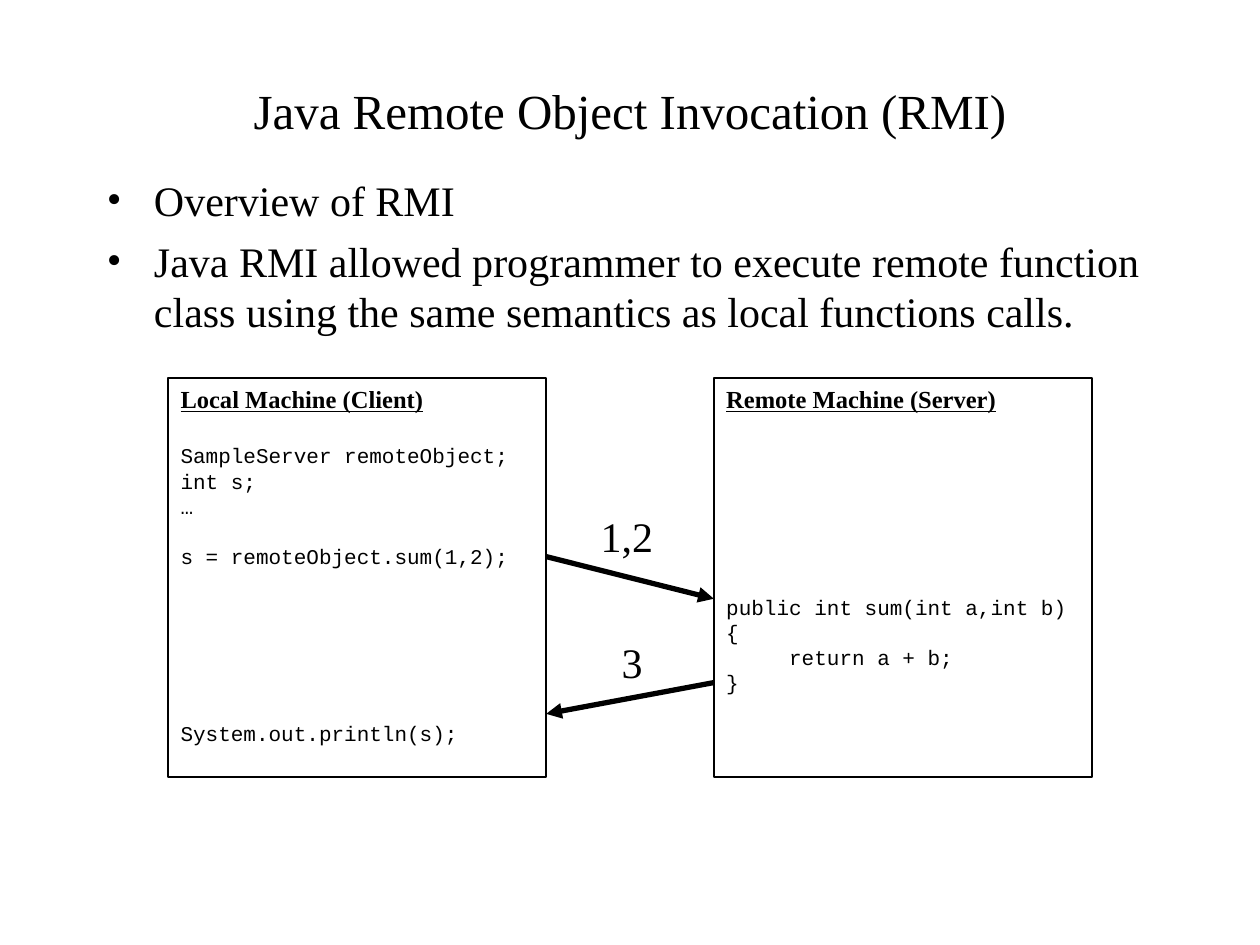
import pptx
import pptx.dml.color
import pptx.enum.shapes
import pptx.enum.text
import pptx.oxml
import pptx.oxml.ns
import pptx.util
from dataclasses import dataclass

Cm, Pt = pptx.util.Cm, pptx.util.Pt
ALIGN = pptx.enum.text.PP_ALIGN
ANCHOR = pptx.enum.text.MSO_ANCHOR
AUTO_SIZE = pptx.enum.text.MSO_AUTO_SIZE


@dataclass(frozen=True)
class Theme:
    ink: pptx.dml.color.RGBColor = pptx.dml.color.RGBColor(0, 0, 0)
    serif: str = "Times New Roman"
    mono: str = "Courier New"
    title: int = 28
    body: int = 24
    heading: int = 14
    code: int = 12
    leading: float = 1.2


theme = Theme()


def write(paragraph, text, size, font=theme.serif, before=0, align=ALIGN.LEFT):
    """Fill a paragraph with one formatted run and return the run."""
    paragraph.alignment = align
    paragraph.line_spacing = Pt(size * theme.leading)
    paragraph.space_before = Pt(before)
    run = paragraph.add_run()
    run.text = text
    run.font.size = Pt(size)
    run.font.name = font
    run.font.color.rgb = theme.ink
    return run


def add_drawing_xml(parent, xml):
    """Append drawing elements, given as XML, to a parent."""
    namespace = pptx.oxml.ns.nsdecls("a")
    for child in pptx.oxml.parse_xml(f"<a:wrap {namespace}>{xml}</a:wrap>"):
        parent.append(child)


presentation = pptx.Presentation()
presentation.slide_width, presentation.slide_height = Cm(25.4), Cm(19.05)
slide = presentation.slides.add_slide(presentation.slide_layouts[1])

# Title
title = slide.shapes.title
title.left, title.top, title.width, title.height = Cm(1.9), Cm(1.68), Cm(21.6), Cm(1.07)
title.text_frame.vertical_anchor = ANCHOR.MIDDLE
title.text_frame.auto_size = AUTO_SIZE.NONE
write(title.text_frame.paragraphs[0], "Java Remote Object Invocation (RMI)",
      theme.title, align=ALIGN.CENTER)

# Overview list
overview = slide.placeholders[1]
overview.left, overview.top, overview.width, overview.height = (
    Cm(1.9), Cm(3.39), Cm(21.6), Cm(13.55))
overview.text_frame.auto_size = AUTO_SIZE.NONE
points = [
    "Overview of RMI",
    "Java RMI allowed programmer to execute remote function class "
    "using the same semantics as local functions calls.",
]
for index, point in enumerate(points):
    item = overview.text_frame.paragraphs[0] if index == 0 else overview.text_frame.add_paragraph()
    properties = item._p.get_or_add_pPr()
    properties.set("marL", str(Cm(0.95)))
    properties.set("indent", str(-Cm(0.95)))
    add_drawing_xml(
        properties,
        f'<a:buClr><a:srgbClr val="{theme.ink}"/></a:buClr>'
        f'<a:buFont typeface="{theme.serif}"/><a:buChar char="•"/>')
    write(item, point, theme.body, before=6 if index else 0)

# Client and server machines: left edge, heading, (blank lines above, code line)
machine_top, machine_width, machine_height = Cm(7.62), Cm(7.62), Cm(8.04)
client_left, server_left = Cm(3.39), Cm(14.39)
heading_gap = theme.heading * theme.leading
machines = [
    (client_left, "Local Machine (Client)", [
        (0, "SampleServer remoteObject;"),
        (0, "int s;"),
        (0, "…"),
        (1, "s = remoteObject.sum(1,2);"),
        (6, "System.out.println(s);"),
    ]),
    (server_left, "Remote Machine (Server)", [
        (6, "public int sum(int a,int b) {"),
        (0, "     return a + b;"),
        (0, "}"),
    ]),
]
for left, heading, code in machines:
    machine = slide.shapes.add_shape(pptx.enum.shapes.MSO_SHAPE.RECTANGLE,
                                     left, machine_top, machine_width, machine_height)
    machine.shadow.inherit = False
    machine.fill.background()
    machine.line.color.rgb = theme.ink
    machine.line.width = Pt(1)
    frame = machine.text_frame
    frame.word_wrap = True
    frame.vertical_anchor = ANCHOR.TOP
    heading_run = write(frame.paragraphs[0], heading, theme.heading)
    heading_run.font.bold = True
    heading_run.font.underline = True
    for index, (blank_lines, line) in enumerate(code):
        gap = blank_lines * theme.code * theme.leading + (heading_gap if index == 0 else 0)
        write(frame.add_paragraph(), line, theme.code, theme.mono, before=gap)

# Call and return arrows
client_edge = client_left + machine_width
arrows = [
    (client_edge, Cm(11.22), server_left, Cm(12.07)),
    (server_left, Cm(13.76), client_edge, Cm(14.39)),
]
for ends in arrows:
    arrow = slide.shapes.add_connector(pptx.enum.shapes.MSO_CONNECTOR.STRAIGHT, *ends)
    arrow.line.color.rgb = theme.ink
    arrow.line.width = Pt(3)
    add_drawing_xml(arrow.line._get_or_add_ln(), '<a:tailEnd type="triangle"/>')
    add_drawing_xml(arrow._element.spPr, "<a:effectLst/>")

# Values passed along the arrows
for value, left, top, width in [("1,2", 11.86, 10.16, 1.6), ("3", 12.28, 12.7, 0.95)]:
    label = slide.shapes.add_textbox(Cm(left), Cm(top), Cm(width), Cm(1.27))
    label.text_frame.word_wrap = False
    label.text_frame.auto_size = AUTO_SIZE.SHAPE_TO_FIT_TEXT
    write(label.text_frame.paragraphs[0], value, theme.body)

presentation.save("out.pptx")
